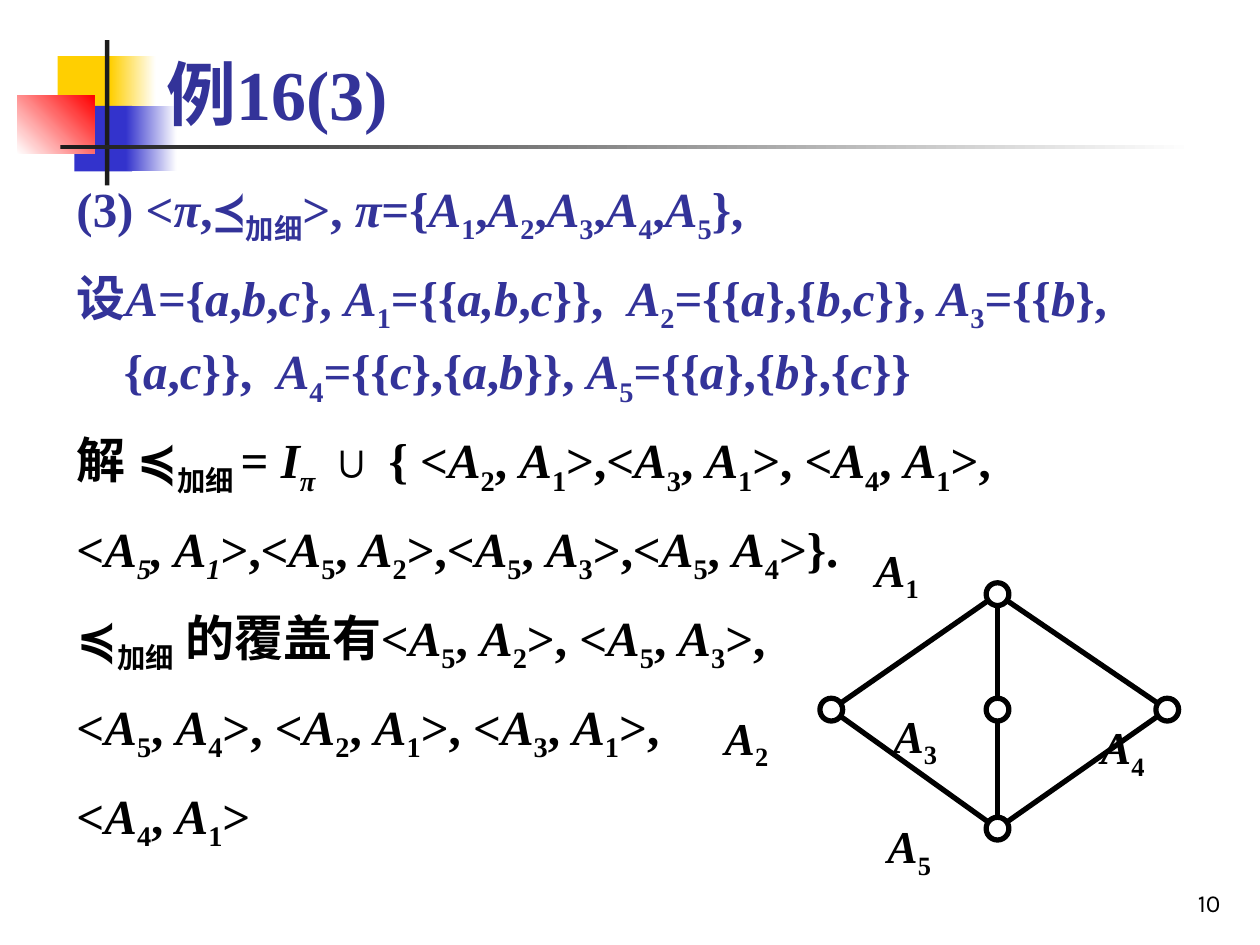
import itertools
import math

import pptx
import pptx.dml.color
import pptx.enum.shapes
import pptx.enum.text
import pptx.oxml.ns
import pptx.util
from lxml import etree

Pt = pptx.util.Pt
ANCHOR = pptx.enum.text.MSO_ANCHOR
ALIGN = pptx.enum.text.PP_ALIGN
SHAPE = pptx.enum.shapes.MSO_SHAPE
SERIF = "Times New Roman"
INDIGO, BLACK, WHITE = "333399", "000000", "FFFFFF"
ITALIC_SYMBOLS = "AIabcπ"

STATEMENTS = [
    ("(3) <π,≼[加细]>, π={A[1],A[2],A[3],A[4],A[5]},", INDIGO),
    ("设A={a,b,c}, A[1]={{a/,/b,c}},  A[2]={{a},{b,c}}, A[3]={{b},{a,c}},  "
     "A[4]={{c},{a,b}}, A[5]={{a},{b},{c}}", INDIGO),
    ("解 ≼[加细 ]= I[π] ∪ { <A[2], A[1]>,<A[3], A[1]>, <A[4], A[1]>,", BLACK),
    ("<A/[5], A[1]/>,<A[5], A[2]>,<A[5], A[3]>,<A[5], A[4]>}.", BLACK),
    ("≼[加细] 的覆盖有<A[5], A[2]>, <A[5], A[3]>,", BLACK),
    ("<A[5], A[4]>, <A[2], A[1]>, <A[3], A[1]>,", BLACK),
    ("<A[4], A[1]>", BLACK),
]

# Hasse diagram: element -> (node centre, label corner), from the diagram's corner
ELEMENTS = {
    "A[1]": ((163, 37), (86, 0)),
    "A[2]": ((68, 103), (0, 96)),
    "A[3]": ((163, 103), (96.5, 95)),
    "A[4]": ((260, 103), (215, 101.5)),
    "A[5]": ((163, 171), (93, 158)),
}
NODE_RADIUS = 6.5


def rgb(value):
    return pptx.dml.color.RGBColor.from_string(value)


def style_font(font, size, color, name=SERIF, bold=True):
    font.name, font.size, font.bold = name, Pt(size), bold
    font.color.rgb = rgb(color)


def write_formula(paragraph, formula, size, color):
    """[..] is subscript, /../ is forced italic, set symbols are always italic."""
    subscript = slanted = False
    styled = []
    for char in formula:
        if char in "[]":
            subscript = char == "["
        elif char == "/":
            slanted = not slanted
        else:
            styled.append((char, (slanted or char in ITALIC_SYMBOLS, subscript)))
    for (italic, lowered), chars in itertools.groupby(styled, key=lambda s: s[1]):
        run = paragraph.add_run()
        run.text = "".join(char for char, _ in chars)
        style_font(run.font, size, color)
        run.font.italic = italic
        if lowered:
            run.font._element.set("baseline", "-25000")


def place(shape, left, top, width, height):
    shape.left, shape.top = Pt(left), Pt(top)
    shape.width, shape.height = Pt(width), Pt(height)


def add_motif(slide, left, top):
    """Coloured squares and the crossing rules behind the title."""
    blocks = [
        (23, 9, 34.5, 37.5, "FFCF01", None, 0),
        (53, 9, 26, 37.5, "FFCF01", WHITE, 0),
        (32.5, 37.5, 33, 37.5, "3333CC", None, 0),
        (62, 37.5, 29, 37.5, "3333CC", WHITE, 0),
        (0, 31.5, 44, 33.5, WHITE, "FF0000", 45),
        (50, 0, 2.5, 83, "1C1C1C", None, 0),
        (24.5, 60, 648, 2, "1C1C1C", WHITE, 0),
    ]
    for x, y, width, height, start, end, angle in blocks:
        block = slide.shapes.add_shape(SHAPE.RECTANGLE, Pt(left + x), Pt(top + y),
                                       Pt(width), Pt(height))
        block.shadow.inherit = False
        block.line.fill.background()
        if end is None:
            block.fill.solid()
            block.fill.fore_color.rgb = rgb(start)
        else:
            block.fill.gradient()
            block.fill.gradient_angle = angle
            for stop, color in zip(block.fill.gradient_stops, (start, end)):
                stop.color.rgb = rgb(color)


def fill_title(title, left, top, width, height):
    place(title, left, top, width, height)
    title.element.getparent().append(title.element)  # in front of the motif
    frame = title.text_frame
    frame.text = "例16(3)"
    frame.vertical_anchor = ANCHOR.BOTTOM
    frame.paragraphs[0].alignment = ALIGN.LEFT
    style_font(frame.paragraphs[0].runs[0].font, 40, INDIGO)


def fill_body(body, left, top, width, height):
    place(body, left, top, width, height)
    body.element.getparent().append(body.element)
    frame = body.text_frame
    frame.auto_size = pptx.enum.text.MSO_AUTO_SIZE.NONE
    frame.vertical_anchor = ANCHOR.TOP
    for index, (formula, color) in enumerate(STATEMENTS):
        paragraph = frame.add_paragraph() if index else frame.paragraphs[0]
        properties = paragraph._p.get_or_add_pPr()
        properties.set("marL", str(Pt(27)))
        properties.set("indent", str(-Pt(27)))
        etree.SubElement(properties, pptx.oxml.ns.qn("a:buNone"))
        paragraph.line_spacing = 1.1
        paragraph.space_before = Pt(8.8 if index else 0)
        write_formula(paragraph, formula, 28, color)


def add_hasse_diagram(slide, left, top):
    diagram = slide.shapes.add_group_shape().shapes
    centres = {name: (left + x, top + y) for name, ((x, y), _) in ELEMENTS.items()}

    # Nodes
    for x, y in centres.values():
        node = diagram.add_shape(SHAPE.OVAL, Pt(x - NODE_RADIUS), Pt(y - NODE_RADIUS),
                                 Pt(2 * NODE_RADIUS), Pt(2 * NODE_RADIUS))
        node.shadow.inherit = False
        node.fill.background()
        node.line.color.rgb = rgb(BLACK)
        node.line.width = Pt(3)

    # Covering edges, trimmed to the rims of the nodes
    for middle, end in itertools.product(("A[2]", "A[3]", "A[4]"), ("A[1]", "A[5]")):
        (x1, y1), (x2, y2) = centres[middle], centres[end]
        trim = NODE_RADIUS / math.hypot(x2 - x1, y2 - y1)
        dx, dy = (x2 - x1) * trim, (y2 - y1) * trim
        edge = diagram.add_connector(pptx.enum.shapes.MSO_CONNECTOR.STRAIGHT,
                                     Pt(x1 + dx), Pt(y1 + dy), Pt(x2 - dx), Pt(y2 - dy))
        edge.line.color.rgb = rgb(BLACK)
        edge.line.width = Pt(3)
        etree.SubElement(edge.element.spPr, pptx.oxml.ns.qn("a:effectLst"))

    # Labels
    for name, (_, (x, y)) in ELEMENTS.items():
        label = diagram.add_textbox(Pt(left + x), Pt(top + y), Pt(93), Pt(46))
        label.text_frame.word_wrap = True
        paragraph = label.text_frame.paragraphs[0]
        paragraph.line_spacing = 1.1
        write_formula(paragraph, name, 26, BLACK)


def add_page_number(slide, left, top, width, height):
    number = slide.shapes.add_textbox(Pt(left), Pt(top), Pt(width), Pt(height))
    frame = number.text_frame
    frame.word_wrap = True
    frame.vertical_anchor = ANCHOR.BOTTOM
    frame.text = "10"
    frame.paragraphs[0].alignment = ALIGN.RIGHT
    style_font(frame.paragraphs[0].runs[0].font, 14, BLACK, "Karla", False)


def main():
    presentation = pptx.Presentation()
    presentation.slide_width, presentation.slide_height = Pt(720), Pt(540)
    slide = presentation.slides.add_slide(presentation.slide_layouts[1])
    title, body = slide.placeholders
    add_motif(slide, 10, 23)
    add_page_number(slide, 554.5, 492, 150, 36)
    fill_title(title, 88, 20, 613.5, 60.5)
    fill_body(body, 36.5, 94.5, 657.5, 391)
    add_hasse_diagram(slide, 407, 302.5)
    presentation.save("out.pptx")


if __name__ == "__main__":
    main()
